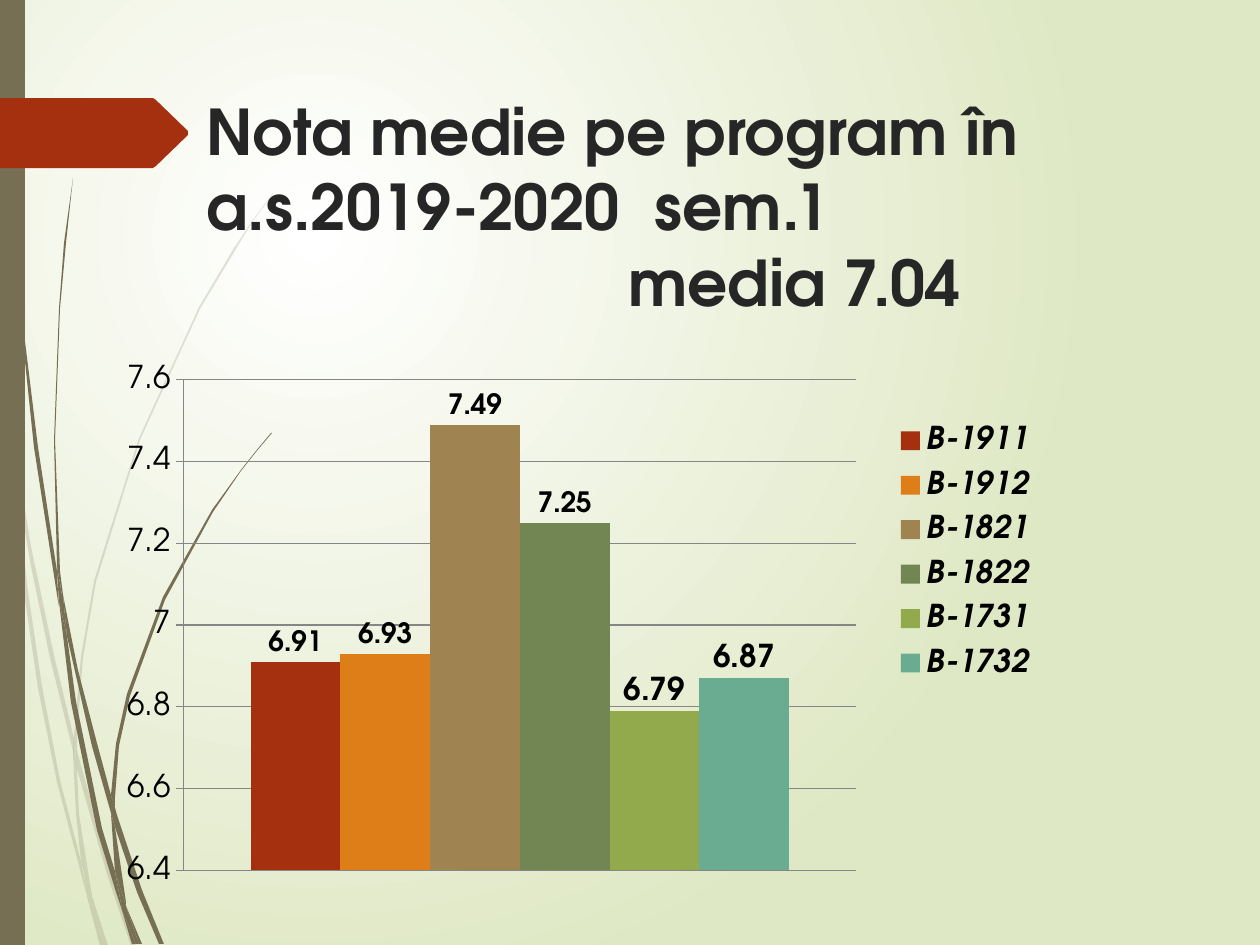
from lxml import etree
from pptx import Presentation
from pptx.chart.data import CategoryChartData
from pptx.dml.color import RGBColor
from pptx.enum.chart import XL_CHART_TYPE as ChartType
from pptx.enum.chart import XL_LABEL_POSITION as LabelPos
from pptx.enum.chart import XL_LEGEND_POSITION as LegendPos
from pptx.enum.chart import XL_TICK_MARK as TickMark
from pptx.enum.shapes import MSO_SHAPE as Preset
from pptx.enum.text import MSO_ANCHOR as Anchor
from pptx.oxml import parse_xml
from pptx.oxml.ns import nsdecls, qn
from pptx.util import Pt

EMU_PER_PX = 914400 / 126
FONT = "TeX Gyre Adventor"
OLIVE, RUST, INK, BLACK, GREY = "766F54", "A53010", "262626", "000000", "868686"

LIGHT_BLADES = """
10,441 8,406 0,355 0,377 9,433
50,658 74,755 74,738 54,655 31,546 13,435 15,474 31,566
81,765 77,751 77,769 107,874 131,946 136,946 111,872
105,946 108,946 92,896
81,861 60,780 42,686 28,591 15,474 10,441 24,592 38,688 57,782 81,873 88,900 87,891
73,755 76,814 81,861 84,872 92,896 91,890 79,814 77,769 77,766
77,736 83,658 96,582 140,440 200,309 236,249 253,221 273,194 273,193 253,220 234,248 199,307 139,438 94,581 81,657 74,736 74,738 77,751
88,900 100,946 103,946
77,766 77,769 77,751 74,738 73,755
84,872 82,861 87,891 88,900 103,946 105,946 92,896
"""
DARK_BLADES = """
6,139 18,294 34,447 58,601 59,606 57,576 57,571 38,447 19,292 8,137 5,60 4,0 3,0 4,60
92,746 111,813 111,798 111,795 97,743 78,670 63,595 67,636
118,818 115,808 115,827 137,892 159,944 164,944 142,890
115,871 102,828 76,701 67,636 59,601 71,702 97,830 116,892 122,910 121,903
63,595 60,571 55,440 60,309 66,243 73,178 64,243 59,309 54,440 57,566 62,595
139,944 142,944 126,906
59,601 67,636 63,595 62,595 57,566 57,571
115,798 119,746 130,696 165,600 213,512 241,471 256,452 272,433 271,433 256,451 241,470 212,510 163,597 127,694 116,744 111,795 115,808
122,910 132,944 136,944
111,813 115,871 121,890 126,906 126,902 115,827 113,820
111,813 113,820 115,827 115,808 111,795 111,798
121,890 115,871 121,903 122,910 136,944 139,944 126,906
"""
ARROW = "188,131 156,100 153,98 0,98 0,168 153,168 156,166 188,135"
GRADES = [
    ("B-1911", 6.91, RUST, 16),
    ("B-1912", 6.93, "DE7E18", 16),
    ("B-1821", 7.49, "9F8351", 16),
    ("B-1822", 7.25, "728653", 16),
    ("B-1731", 6.79, "92AA4C", 18),
    ("B-1732", 6.87, "6AAC91", 18),
]


def px(length):
    return round(length * EMU_PER_PX)


def rgb(code):
    return RGBColor.from_string(code)


def paint(shape, color, alpha=100):
    shape.shadow.inherit = False
    shape.fill.solid()
    shape.fill.fore_color.rgb = rgb(color)
    shape.line.fill.background()
    if alpha < 100:
        tint = shape.fill._xPr.find(qn("a:solidFill"))[0]
        etree.SubElement(tint, qn("a:alpha")).set("val", str(alpha * 1000))


def style_font(font, size, color=BLACK, bold=False, italic=False):
    font.name, font.size, font.bold, font.italic = FONT, Pt(size), bold, italic
    font.color.rgb = rgb(color)


def add_background(page):
    page.background.fill.solid()
    props = page.background._cSld.bg.bgPr
    props.replace(props[0], parse_xml(
        f'<a:gradFill {nsdecls("a")} rotWithShape="1"><a:gsLst>'
        '<a:gs pos="0"><a:srgbClr val="FFFFFF"/></a:gs>'
        '<a:gs pos="100000"><a:srgbClr val="DFE8C4"/></a:gs></a:gsLst>'
        '<a:path path="circle"><a:fillToRect l="50000" t="50000" '
        'r="100000" b="100000"/></a:path></a:gradFill>'))


def add_outline(page, left, top, points, color, alpha=100):
    corners = [tuple(map(int, point.split(","))) for point in points.split()]
    builder = page.shapes.build_freeform(*corners[0], scale=EMU_PER_PX)
    builder.add_line_segments(corners[1:], close=True)
    shape = builder.convert_to_shape(px(left), px(top))
    paint(shape, color, alpha)


def add_side_decor(page, left, top, width, height):
    for blades, alpha in ((LIGHT_BLADES, 20), (DARK_BLADES, 100)):
        for blade in blades.strip().splitlines():
            add_outline(page, left, top, blade, OLIVE, alpha)
    bar = page.shapes.add_shape(Preset.RECTANGLE, px(left), px(top), px(width), px(height))
    paint(bar, OLIVE)
    add_outline(page, left, top, ARROW, RUST)


def add_title(page, left, top, width, height):
    box = page.shapes.add_textbox(px(left), px(top), px(width), px(height))
    frame = box.text_frame
    frame.word_wrap = True
    frame.vertical_anchor = Anchor.TOP
    lines = [("Nota medie pe program în a.s.2019-2020  sem.1", 0), ("media 7.04", 422)]
    for number, (text, indent) in enumerate(lines):
        para = frame.add_paragraph() if number else frame.paragraphs[0]
        para._p.get_or_add_pPr().set("marL", str(px(indent)))
        span = para.add_run()
        span.text = text
        style_font(span.font, 36, INK, bold=True)


def manual_layout(x, y, w, h, inner=False):
    target = '<c:layoutTarget val="inner"/>' if inner else ""
    modes = '<c:xMode val="edge"/><c:yMode val="edge"/>'
    sizes = "".join(f'<c:{key} val="{value}"/>' for key, value in zip("xywh", (x, y, w, h)))
    return parse_xml(f'<c:layout {nsdecls("c")}><c:manualLayout>{target}{modes}{sizes}'
                     '</c:manualLayout></c:layout>')


def style_line(line):
    line.color.rgb = rgb(GREY)
    line.width = Pt(0.75)


def add_grade_chart(page, left, top, width, height):
    data = CategoryChartData()
    data.categories = ["1"]
    for name, value, _, _ in GRADES:
        data.add_series(name, [value])
    chart = page.shapes.add_chart(ChartType.COLUMN_CLUSTERED, px(left), px(top),
                                  px(width), px(height), data).chart
    chart.has_title = False
    style_font(chart.font, 18)
    plot = chart.plots[0]
    plot.gap_width, plot.overlap, plot.vary_by_categories = 150, 0, False
    for series, (_, _, color, size) in zip(plot.series, GRADES):
        series.format.fill.solid()
        series.format.fill.fore_color.rgb = rgb(color)
        labels = series.data_labels
        labels.show_value = True
        labels.position = LabelPos.OUTSIDE_END
        style_font(labels.font, size, bold=True)
    chart.category_axis.visible = False
    axis = chart.value_axis
    axis.minimum_scale, axis.maximum_scale, axis.major_unit = 6.4, 7.6, 0.2
    axis.major_tick_mark = TickMark.OUTSIDE
    axis.has_major_gridlines = True
    style_line(axis.major_gridlines.format.line)
    style_line(axis.format.line)
    chart.has_legend = True
    legend = chart.legend
    legend.position = LegendPos.RIGHT
    legend.include_in_layout = False
    style_font(legend.font, 18, bold=True, italic=True)
    area = chart._chartSpace.chart.plotArea
    for old in area.findall(qn("c:layout")):
        area.remove(old)
    area.insert(0, manual_layout(0.052, 0.047, 0.601, 0.835, inner=True))
    legend_node = legend._element
    for old in legend_node.findall(qn("c:layout")):
        legend_node.remove(old)
    legend_node.find(qn("c:legendPos")).addnext(manual_layout(0.68, 0.1, 0.14, 0.48))


deck = Presentation()
deck.slide_width, deck.slide_height = px(1260), px(945)
page = deck.slides.add_slide(deck.slide_layouts[6])
add_background(page)
add_side_decor(page, 0, 0, 25, 945)
add_title(page, 194, 86, 983, 266)
add_grade_chart(page, 125, 352, 1120, 588)
deck.save("out.pptx")
